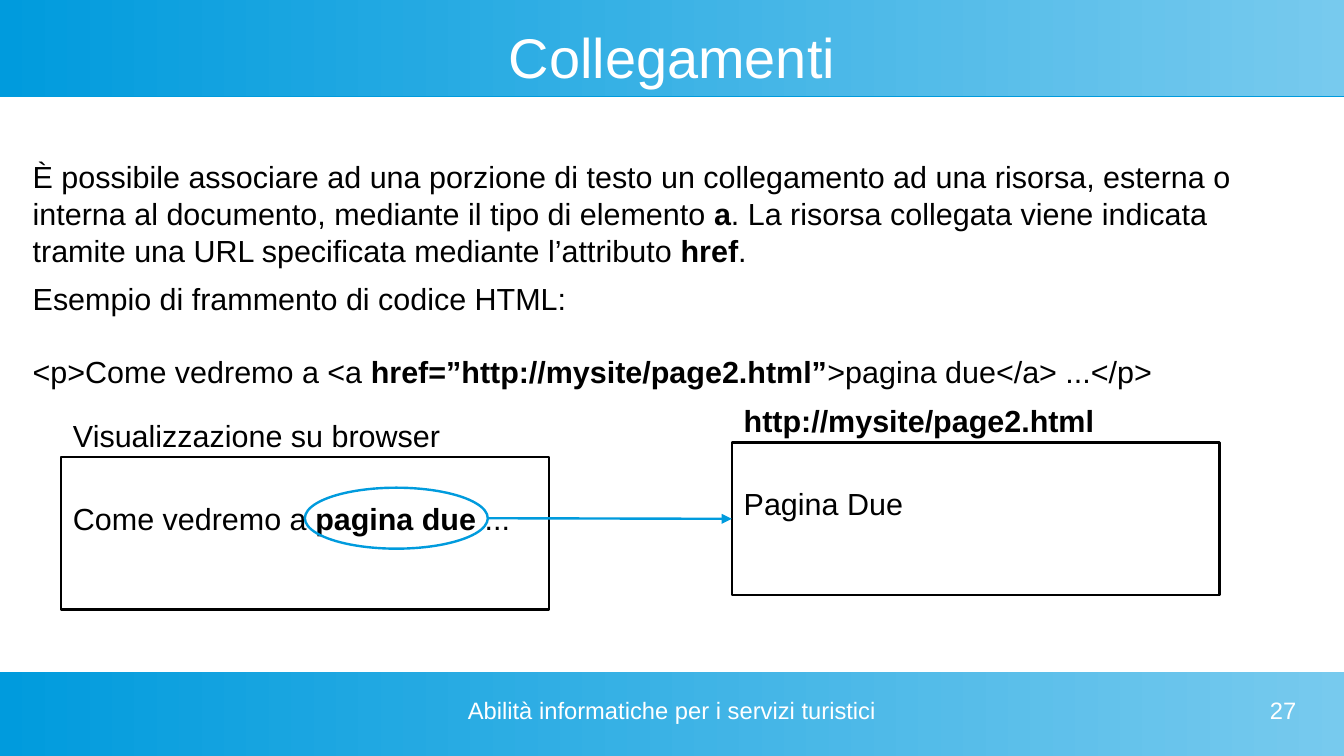
"""Build the slide "Collegamenti" on hyperlinks in HTML."""
import pptx
import pptx.dml.color
import pptx.enum.shapes
import pptx.enum.text
import pptx.oxml
import pptx.util

Inches = pptx.util.Inches
Pt = pptx.util.Pt
RGBColor = pptx.dml.color.RGBColor
MSO_SHAPE = pptx.enum.shapes.MSO_SHAPE
STRAIGHT = pptx.enum.shapes.MSO_CONNECTOR.STRAIGHT
ANCHOR = pptx.enum.text.MSO_ANCHOR
ALIGN = pptx.enum.text.PP_ALIGN

BLUE = RGBColor(0x00, 0x9B, 0xDD)
LIGHT_BLUE = RGBColor(0x77, 0xCA, 0xEE)
BLACK = RGBColor(0x00, 0x00, 0x00)
WHITE = RGBColor(0xFF, 0xFF, 0xFF)
LINE_WIDTH = Pt(1.42)
SLIDE_WIDTH = 11.02

presentation = pptx.Presentation()
presentation.slide_width = Inches(SLIDE_WIDTH)
presentation.slide_height = Inches(6.2)
slide = presentation.slides.add_slide(presentation.slide_layouts[6])


def write(shape, paragraphs, size=18, color=BLACK, align=ALIGN.LEFT,
          margins=(0.1, 0.05), anchor=ANCHOR.TOP, gap=0):
    """Write paragraphs, each a list of runs that alternate regular and bold."""
    frame = shape.text_frame
    frame.word_wrap = True
    frame.vertical_anchor = anchor
    frame.margin_left = frame.margin_right = Inches(margins[0])
    frame.margin_top = frame.margin_bottom = Inches(margins[1])
    for number, texts in enumerate(paragraphs):
        paragraph = frame.add_paragraph() if number else frame.paragraphs[0]
        paragraph.alignment = align
        if number:
            paragraph.space_before = Pt(gap)
        paragraph.font.name = "Arial"
        paragraph.font.size = Pt(size)
        paragraph.font.color.rgb = color
        for position, text in enumerate(texts):
            if text:
                run = paragraph.add_run()
                run.text = text
                run.font.bold = position % 2 == 1


def add_line(left, top, right, width):
    """Add a horizontal blue line without a shadow."""
    line = slide.shapes.add_connector(
        STRAIGHT, Inches(left), Inches(top), Inches(right), Inches(top))
    line.line.color.rgb = BLUE
    line.line.width = width
    properties = line._element.spPr
    properties.append(properties.makeelement(pptx.oxml.ns.qn("a:effectLst"), {}))
    return line


add_line(0, 0.79, SLIDE_WIDTH, Pt(1))
for top, height in ((0, 0.79), (5.51, 0.69)):
    band = slide.shapes.add_shape(
        MSO_SHAPE.RECTANGLE, 0, Inches(top), Inches(SLIDE_WIDTH), Inches(height))
    band.shadow.inherit = False
    band.line.fill.background()
    band.fill.gradient()
    band.fill.gradient_angle = 0
    for stop, color in zip(band.fill.gradient_stops, (BLUE, LIGHT_BLUE)):
        stop.color.rgb = color

for left, top, width, height, text, size, align, anchor in (
    (0.39, 0.2, 10.24, 0.52, "Collegamenti", 33, ALIGN.CENTER, ANCHOR.MIDDLE),
    (3.74, 5.71, 3.54, 0.39, "Abilità informatiche per i servizi turistici", 14,
     ALIGN.CENTER, ANCHOR.TOP),
    (8.07, 5.71, 2.56, 0.39, "27", 14, ALIGN.RIGHT, ANCHOR.TOP),
):
    banner_text = slide.shapes.add_textbox(
        Inches(left), Inches(top), Inches(width), Inches(height))
    write(banner_text, [[text]], size, WHITE, align, (0, 0), anchor)

introduction = [[
    "È possibile associare ad una porzione di testo un collegamento ad una risorsa, "
    "esterna o interna al documento, mediante il tipo di elemento ",
    "a",
    ". La risorsa collegata viene indicata tramite una URL specificata mediante "
    "l’attributo ",
    "href",
    ".",
]]
example = [
    ["Esempio di frammento di codice HTML:"],
    ["<p>Come vedremo a <a", " href=”http://mysite/page2.html”",
     ">pagina due</a> ...</p>"],
]
for left, top, width, height, paragraphs in (
    (0.17, 1.25, 10.33, 0.94, introduction),
    (0.17, 2.25, 10.33, 0.94, example),
    (0.5, 3.37, 3.25, 0.38, [["Visualizzazione su browser"]]),
    (6, 3.25, 3.5, 0.38, [["", "http://mysite/page2.html"]]),
):
    body_text = slide.shapes.add_textbox(
        Inches(left), Inches(top), Inches(width), Inches(height))
    write(body_text, paragraphs, gap=21.5)

for kind, left, top, width, height, color, texts in (
    (MSO_SHAPE.RECTANGLE, 0.5, 3.75, 4, 1.25, BLACK,
     ["Come vedremo a ", "pagina due", " ..."]),
    (MSO_SHAPE.OVAL, 2.5, 4, 1.5, 0.5, BLUE, []),
    (MSO_SHAPE.RECTANGLE, 6, 3.63, 4, 1.25, BLACK, ["Pagina Due"]),
):
    shape = slide.shapes.add_shape(
        kind, Inches(left), Inches(top), Inches(width), Inches(height))
    shape.shadow.inherit = False
    shape.fill.background()
    shape.line.color.rgb = color
    shape.line.width = LINE_WIDTH
    if texts:
        write(shape, [texts], margins=(0.1, 0.35))

target_page = shape
link_arrow = add_line(4, 4.25, 6, LINE_WIDTH)
link_arrow.end_connect(target_page, 1)
outline = link_arrow.line._get_or_add_ln()
outline.append(outline.makeelement(
    pptx.oxml.ns.qn("a:tailEnd"), {"type": "triangle"}))

presentation.save("out.pptx")
